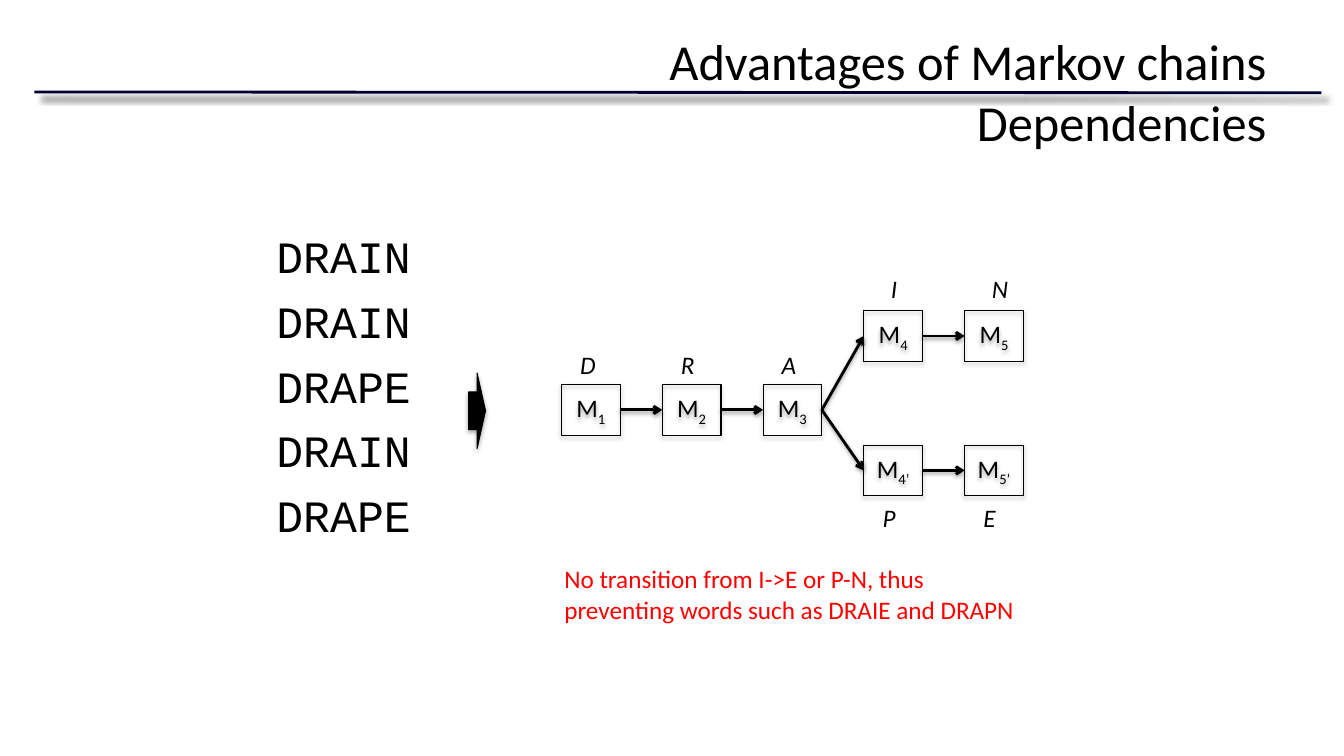
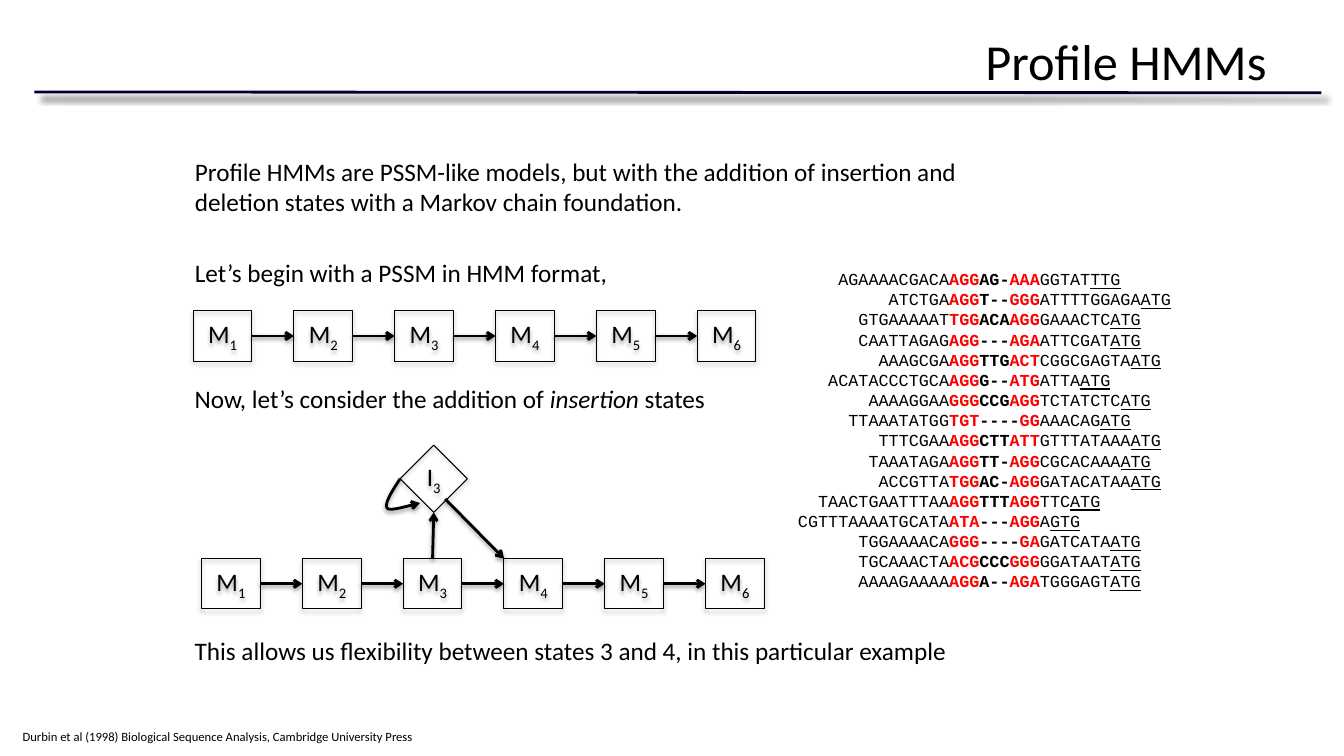
from lxml.etree import SubElement
from pptx import Presentation
from pptx.dml.color import RGBColor
from pptx.enum.shapes import MSO_CONNECTOR, MSO_SHAPE as SHAPE
from pptx.enum.text import MSO_ANCHOR as ANCHOR, MSO_AUTO_SIZE as AUTO, PP_ALIGN as ALIGN
from pptx.oxml.ns import qn
from pptx.util import Emu, Inches, Pt

BLACK = RGBColor(0, 0, 0)
RED = RGBColor(0xFF, 0, 0)
NAVY = RGBColor(0, 0, 0x33)
SANS, MONO = "Calibri", "Courier New"

# The slide is a grid of 160 columns by 90 rows of square cells.
COLS, ROWS = 160, 90
CELL = Inches(1) / 12
STATE_W, STATE_H, STATE_PITCH = 7, 6, 12
TOP, LEFT, BOTTOM, RIGHT = range(4)  # connection sites

# Shadows: opacity in percent, blur and distance in points, angle in degrees
RULE_SHADOW = (50, 4, 6, 45)
SHAPE_SHADOW = (35, 3.1, 1.8, 90)
ARROW_SHADOW = (38, 3.1, 1.6, 90)

# Flank, first motif, spacer, second motif, flank, start codon
SEQUENCES = """
AGAAAACGACA AGG AG- AAA GGTAT TTG
ATCTGA AGG T-- GGG ATTTTGGAGA ATG
GTGAAAAAT TGG ACA AGG GAAACTC ATG
CAATTAGAG AGG --- AGA ATTCGAT ATG
AAAGCGA AGG TTG ACT CGGCGAGTA ATG
ACATACCCTGCA AGG G-- ATG ATTA ATG
AAAAGGAA GGG CCG AGG TCTATCTC ATG
TTAAATATGG TGT ---- GG AAACAG ATG
TTTCGAA AGG CTT ATT GTTTATAAA ATG
TAAATAGA AGG TT- AGG CGCACAAA ATG
ACCGTTA TGG AC- AGG GATACATAA ATG
TAACTGAATTTAA AGG TTT AGG TTC ATG
CGTTTAAAATGCATA ATA --- AGG A GTG
TGGAAAACA GGG ---- GA GATCATA ATG
TGCAAACTA ACG CCC GGG GGATAAT ATG
AAAAGAAAA AGG A-- AGA TGGGAGT ATG
"""
MOTIF = {"color": RED, "bold": True}
FIELD_STYLES = ({}, MOTIF, {"bold": True}, MOTIF, {}, {"underline": True})


def cells(*counts):
    return [Emu(round(n * CELL)) for n in counts]


def add_run(p, text, size=18, name=SANS, color=BLACK, sub=False, **style):
    r = p.add_run()
    r.text = text
    font = r.font
    font.size, font.name, font.color.rgb = Pt(size), name, color
    for key, value in style.items():
        setattr(font, key, value)
    if sub:
        r._r.get_or_add_rPr().set("baseline", "-25000")


def no_insets(tf):
    tf.margin_left = tf.margin_right = tf.margin_top = tf.margin_bottom = 0


def add_shadow(s, shadow):
    """Append the effect list; call it after the line is set."""
    alpha, blur, dist, angle = shadow
    effects = SubElement(s.element.spPr, qn("a:effectLst"))
    outer = SubElement(effects, qn("a:outerShdw"), blurRad=str(Pt(blur)),
                       dist=str(Pt(dist)), dir=str(angle * 60000),
                       algn="ctr", rotWithShape="0")
    clr = SubElement(outer, qn("a:srgbClr"), val="000000")
    SubElement(clr, qn("a:alpha"), val=str(alpha * 1000))


def style_line(s, width, color=BLACK, arrow=False):
    s.line.color.rgb = color
    s.line.width = Pt(width)
    if arrow:
        SubElement(s.line._get_or_add_ln(), qn("a:tailEnd"), type="arrow")


def add_line(slide, x1, y1, x2, y2, color=BLACK, arrow=True, shadow=ARROW_SHADOW):
    s = slide.shapes.add_connector(MSO_CONNECTOR.STRAIGHT, *cells(x1, y1, x2, y2))
    style_line(s, 2, color, arrow)
    add_shadow(s, shadow)
    return s


def connect(slide, start, end, start_site=RIGHT, end_site=LEFT):
    s = add_line(slide, 0, 0, 1, 1)
    s.begin_connect(start, start_site)
    s.end_connect(end, end_site)


def add_shape(slide, kind, x, y, w, h, fill=None):
    s = slide.shapes.add_shape(kind, *cells(x, y, w, h))
    if fill is None:
        s.fill.background()
    else:
        s.fill.solid()
        s.fill.fore_color.rgb = fill
    style_line(s, 0.75)
    add_shadow(s, SHAPE_SHADOW)
    return s


def add_state(slide, kind, x, y, w, h, letter, index):
    s = add_shape(slide, kind, x, y, w, h)
    tf = s.text_frame
    no_insets(tf)
    tf.word_wrap = False
    tf.vertical_anchor = ANCHOR.MIDDLE
    p = tf.paragraphs[0]
    p.alignment = ALIGN.CENTER
    add_run(p, letter)
    add_run(p, index, sub=True)
    return s


def add_chain(slide, x, y, indices):
    """Draw a row of M states joined by arrows, and return the states."""
    states = [add_state(slide, SHAPE.RECTANGLE, x + i * STATE_PITCH, y,
                        STATE_W, STATE_H, "M", index)
              for i, index in enumerate(indices)]
    for start, end in zip(states, states[1:]):
        connect(slide, start, end)
    return states


def add_text(slide, x, y, w, h, *runs, **style):
    """Add a one-paragraph text box; each run is (text, own style)."""
    tf = slide.shapes.add_textbox(*cells(x, y, w, h)).text_frame
    tf.word_wrap = True
    for text, own in runs:
        add_run(tf.paragraphs[0], text, **{**style, **own})
    return tf


def add_letters(slide, x, y, letters):
    for i, letter in enumerate(letters):
        add_text(slide, x + i * STATE_PITCH, y, 5, 4.8, (letter, {"italic": True}))


def add_titled_slide(prs, *lines):
    slide = prs.slides.add_slide(prs.slide_layouts[1])
    title = slide.shapes.title
    title.left, title.top, title.width, title.height = cells(8, 3, 144, 15)
    tf = title.text_frame
    tf.auto_size, tf.vertical_anchor = AUTO.NONE, ANCHOR.TOP
    p = tf.paragraphs[0]
    p.alignment = ALIGN.RIGHT
    for i, line in enumerate(lines):
        if i:
            p.add_line_break()
        add_run(p, line, size=36)
    return slide


def fill_body(slide, x, y, w, h, lines, line_spacing=1.0, gap=0, **style):
    body = slide.placeholders[1]
    body.left, body.top, body.width, body.height = cells(x, y, w, h)
    tf = body.text_frame
    tf.auto_size, tf.vertical_anchor = AUTO.NONE, ANCHOR.TOP
    for i, line in enumerate(lines):
        p = tf.add_paragraph() if i else tf.paragraphs[0]
        pPr = p._p.get_or_add_pPr()
        pPr.set("marL", "0")
        pPr.set("indent", "0")
        SubElement(pPr, qn("a:buNone"))
        p.line_spacing = line_spacing
        p.space_before = Pt(gap if i else 0)
        add_run(p, line, **style)
    return tf


def add_alignment(slide, x, y, w, h):
    """List the sequences with their first motifs in one column."""
    rows = [line.split() for line in SEQUENCES.split("\n") if line]
    longest = max(len(row[0]) for row in rows)
    tf = slide.shapes.add_textbox(*cells(x, y, w, h)).text_frame
    tf.word_wrap = True
    no_insets(tf)
    for i, row in enumerate(rows):
        p = tf.add_paragraph() if i else tf.paragraphs[0]
        indent = Inches(0.1) * (longest - len(row[0]))  # a 12 pt letter is 0.1 in wide
        p._p.get_or_add_pPr().set("marL", str(indent))
        for text, style in zip(row, FIELD_STYLES):
            add_run(p, text, size=12, name=MONO, **style)


def bezier(points, steps=12):
    for i in range(1, steps + 1):
        t = i / steps
        weights = ((1 - t) ** 3, 3 * t * (1 - t) ** 2, 3 * t * t * (1 - t), t ** 3)
        yield cells(*(sum(k * c for k, c in zip(weights, axis)) for axis in zip(*points)))


def add_loop(slide, *points):
    """Draw a curved arrow through cubic segments that share end points."""
    builder = slide.shapes.build_freeform(*cells(*points[0]))
    for i in range(0, len(points) - 1, 3):
        builder.add_line_segments(list(bezier(points[i:i + 4])), close=False)
    s = builder.convert_to_shape()
    s.fill.background()
    style_line(s, 2, arrow=True)
    add_shadow(s, ARROW_SHADOW)


def add_rule_to_layout(slide):
    rule = add_line(slide, 4.1, 10.95, 157.3, 11.05, NAVY, False, RULE_SHADOW)
    slide.slide_layout.shapes.element.append(rule.element)


def build_dependencies(prs):
    slide = add_titled_slide(prs, "Advantages of Markov chains", "Dependencies")
    add_rule_to_layout(slide)
    words = ("DRAIN", "DRAIN", "DRAPE", "DRAIN", "DRAPE")
    no_insets(fill_body(slide, 32.9, 26, 17, 42, words, 1.2, size=32, name=MONO))
    add_shape(slide, SHAPE.RIGHT_ARROW, 55.8, 44.4, 2, 9, BLACK)

    x = 66.84
    branch_x = x + 3 * STATE_PITCH
    stem = add_chain(slide, x, 45.8, "123")
    for y, indices in ((37, ("4", "5")), (53, ("4’", "5’"))):
        branch = add_chain(slide, branch_x, y, indices)
        connect(slide, stem[-1], branch[0])
    add_letters(slide, x + 1.05, 41, "DRA")
    add_letters(slide, branch_x + 2.05, 32, "IN")
    add_letters(slide, branch_x + 1.05, 59.2, "PE")
    add_text(slide, 66, 66.5, 57, 8.5,
             ("No transition from I->E or P-N, thus preventing words such as "
              "DRAIE and DRAPN", {}), color=RED)


def build_profile(prs):
    slide = add_titled_slide(prs, "Profile HMMs")
    fill_body(slide, 22, 18, 96, 17, (
        "Profile HMMs are PSSM-like models, but with the addition of insertion "
        "and deletion states with a Markov chain foundation.",
        "Let’s begin with a PSSM in HMM format,"), gap=29)
    add_chain(slide, 23, 37, "123456")
    add_text(slide, 22, 45, 70, 4.8, ("Now, let’s consider the addition of ", {}),
             ("insertion", {"italic": True}), (" states", {}))

    states = add_chain(slide, 24, 66.5, "123456")
    insertion = add_state(slide, SHAPE.DIAMOND, 47.64, 53, 8, 8, "I", "3")
    connect(slide, states[2], insertion, TOP, BOTTOM)
    add_line(slide, 53, 59.4, 60, 66.5)
    add_loop(slide, (47.64, 57), (46.7, 58.4), (45.7, 60), (46.1, 60.5),
             (46.4, 61), (49.6, 59.9), (50, 59.9))
    add_text(slide, 22, 75, 96, 4.8,
             ("This allows us flexibility between states 3 and 4, "
              "in this particular example", {}))
    add_alignment(slide, 95, 32, 45, 38.8)
    add_text(slide, 1.5, 86.2, 50, 3,
             ("Durbin et al (1998) Biological Sequence Analysis, "
              "Cambridge University Press", {}), size=9)


def main():
    prs = Presentation()
    prs.slide_width, prs.slide_height = cells(COLS, ROWS)
    build_dependencies(prs)
    build_profile(prs)
    prs.save("out.pptx")


if __name__ == "__main__":
    main()
